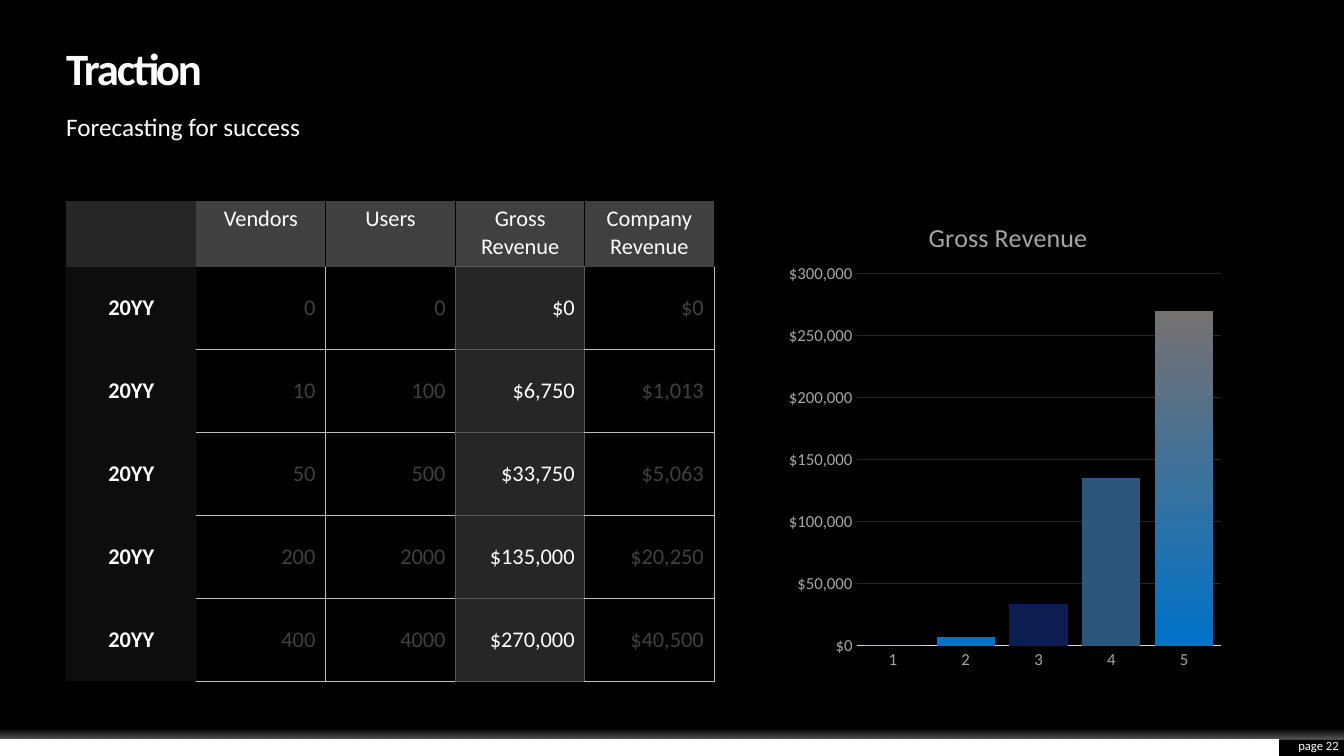
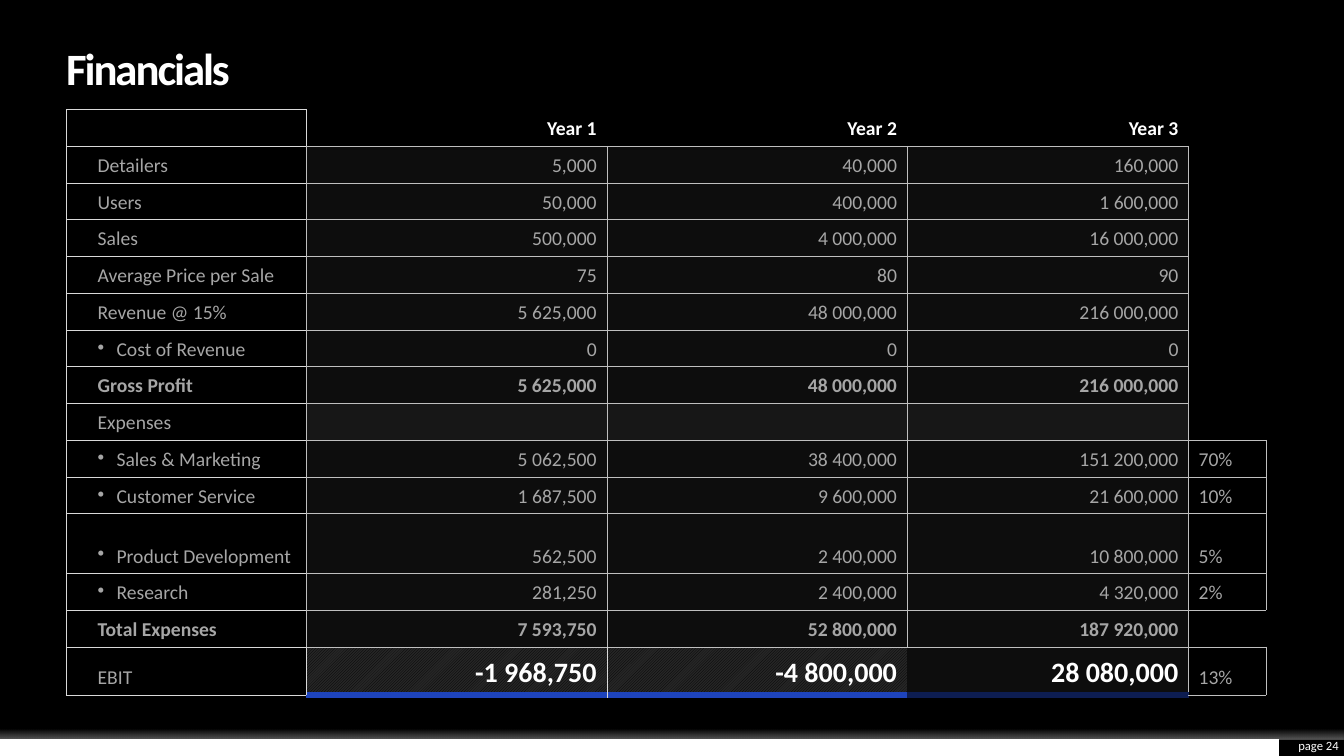
"""Build the traction and financials slides of a pitch deck."""
from dataclasses import dataclass, replace
from typing import NamedTuple, Optional, Sequence

from lxml import etree
from pptx import Presentation
from pptx.chart.data import CategoryChartData
from pptx.dml.color import RGBColor
from pptx.enum.chart import XL_CHART_TYPE, XL_TICK_MARK
from pptx.enum.dml import MSO_PATTERN
from pptx.enum.shapes import MSO_SHAPE
from pptx.enum.text import MSO_ANCHOR, MSO_AUTO_SIZE, PP_ALIGN
from pptx.oxml.ns import qn
from pptx.util import Emu, Pt

LEFT, CENTER, RIGHT = PP_ALIGN.LEFT, PP_ALIGN.CENTER, PP_ALIGN.RIGHT
TOP, MIDDLE, BOTTOM = MSO_ANCHOR.TOP, MSO_ANCHOR.MIDDLE, MSO_ANCHOR.BOTTOM
RECTANGLE, COLUMNS = MSO_SHAPE.RECTANGLE, XL_CHART_TYPE.COLUMN_CLUSTERED
NO_TICK, HATCH = XL_TICK_MARK.NONE, MSO_PATTERN.DARK_UPWARD_DIAGONAL
FONT = "Calibri"
BLACK, WHITE = "000000", "FFFFFF"
INK, COAL, SLATE, STEEL = "0D0D0D", "262626", "404040", "595959"
ASH, SILVER, MIST, WARM_GREY = "A6A6A6", "BFBFBF", "D9D9D9", "767171"
NAVY, BLUE, SKY, TEAL = "0D1D51", "1E44BC", "0072C7", "2C567A"
NO_STYLE = "{2D5ABB26-0587-4C30-8999-92F81FD0307C}"
MARGIN = 63


class Box(NamedTuple):
    left: int
    top: int
    width: int
    height: int


class Line(NamedTuple):
    color: str
    width: float = 0.25


class Edges(NamedTuple):
    left: Optional[Line] = None
    right: Optional[Line] = None
    top: Optional[Line] = None
    bottom: Optional[Line] = None


@dataclass(frozen=True)
class CellStyle:
    size: int
    color: str = WHITE
    bold: bool = False
    align: PP_ALIGN = RIGHT
    anchor: MSO_ANCHOR = MIDDLE
    fill: Optional[str] = None
    opacity: int = 100
    hatched: bool = False
    edges: Edges = Edges()
    indent: Optional[int] = None
    bullet: bool = False


class Forecast(NamedTuple):
    vendors: str
    users: str
    gross: str
    company: str


class Account(NamedTuple):
    label: str
    years: tuple
    share: str = ""
    bullet: bool = False
    bold: bool = False


SILVER_LINE, MIST_LINE = Line(SILVER), Line(MIST)
BLACK_LINE, STEEL_LINE = Line(BLACK), Line(STEEL, 1)
SILVER_BOX = Edges(*[SILVER_LINE] * 4)

FORECAST_HEADS = ("Vendors", "Users", "Gross Revenue", "Company Revenue")
FORECASTS = (
    Forecast("0", "0", "$0", "$0"),
    Forecast("10", "100", "$6,750", "$1,013"),
    Forecast("50", "500", "$33,750", "$5,063"),
    Forecast("200", "2000", "$135,000", "$20,250"),
    Forecast("400", "4000", "$270,000", "$40,500"),
)
REVENUES = (0, 7000, 34000, 135000, 270000)
YEARS = ("Year 1", "Year 2", "Year 3")
ACCOUNTS = (
    Account("Detailers", ("5,000", "40,000", "160,000")),
    Account("Users", ("50,000", "400,000", "1 600,000")),
    Account("Sales", ("500,000", "4 000,000", "16 000,000")),
    Account("Average Price per Sale", ("75", "80", "90")),
    Account("Revenue @ 15%", ("5 625,000", "48 000,000", "216 000,000")),
    Account("Cost of Revenue", ("0", "0", "0"), bullet=True),
    Account("Gross Profit", ("5 625,000", "48 000,000", "216 000,000"), bold=True),
    Account("Expenses", ("", "", "")),
    Account("Sales & Marketing", ("5 062,500", "38 400,000", "151 200,000"), "70%", True),
    Account("Customer Service", ("1 687,500", "9 600,000", "21 600,000"), "10%", True),
    Account("Product Development", ("562,500", "2 400,000", "10 800,000"), "5%", True),
    Account("Research", ("281,250", "2 400,000", "4 320,000"), "2%", True),
    Account("Total Expenses", ("7 593,750", "52 800,000", "187 920,000"), bold=True),
    Account("EBIT", ("-1 968,750", "-4 800,000", "28 080,000"), "13%"),
)


def px(length: int) -> Emu:
    return Emu(length * 9525)


def rgb(color: str) -> RGBColor:
    return RGBColor.from_string(color)


def scaled(box: Box) -> list:
    return [px(length) for length in box]


def set_font(font, size: float, color: str, bold: bool = False) -> None:
    font.name, font.size, font.bold = FONT, Pt(size), bold
    font.color.rgb = rgb(color)


def paint(fill, color: str) -> None:
    fill.solid()
    fill.fore_color.rgb = rgb(color)


def paint_downward(fill, stops: Sequence[tuple]) -> None:
    fill.gradient()
    fill.gradient_angle = 270
    for stop, (position, color) in zip(fill.gradient_stops, stops):
        stop.position = position
        stop.color.rgb = rgb(color)


def set_opacity(element, percents: Sequence[int]) -> None:
    for color, percent in zip(element.iter(qn("a:srgbClr")), percents):
        etree.SubElement(color, qn("a:alpha")).set("val", str(percent * 1000))


def add_text(slide, box: Box, text: str, size: int, align=LEFT, anchor=TOP):
    frame = slide.shapes.add_textbox(*scaled(box)).text_frame
    format_frame(frame, text, size, align, anchor)
    return frame.paragraphs[0]


def format_frame(frame, text: str, size: int, align, anchor, bold: bool = False) -> None:
    frame.text, frame.word_wrap = text, True
    frame.auto_size, frame.vertical_anchor = MSO_AUTO_SIZE.NONE, anchor
    frame.margin_left = frame.margin_right = frame.margin_top = frame.margin_bottom = 0
    frame.paragraphs[0].alignment = align
    set_font(frame.paragraphs[0].font, size, WHITE, bold)


def add_band(slide, box: Box):
    band = slide.shapes.add_shape(RECTANGLE, *scaled(box))
    band.shadow.inherit = False
    band.line.fill.background()
    paint(band.fill, WHITE)
    return band


def add_page(deck, title: str, number: int):
    """Add a slide with the shared title, footer bands and page number."""
    slide = deck.slides.add_slide(deck.slide_layouts[5])
    add_band(slide, Box(0, 704, 1218, 16))
    glow = add_band(slide, Box(0, 687, 1280, 17))
    paint_downward(glow.fill, ((0.4, WHITE), (1, WHITE)))
    set_opacity(glow.fill._xPr, (0, 35))
    heading = slide.shapes.title
    heading.left, heading.top, heading.width, heading.height = scaled(Box(MARGIN, 45, 1047, 45))
    format_frame(heading.text_frame, title, 32, LEFT, MIDDLE, True)
    paragraph = heading.text_frame.paragraphs[0]
    paragraph.line_spacing = 0.9
    paragraph._p.get_or_add_pPr().get_or_add_defRPr().set("spc", "-150")
    add_text(slide, Box(1218, 702, 57, 16), f"page {number}", 9, RIGHT, MIDDLE)
    return slide


def add_grid(slide, left: int, top: int, widths: Sequence[int], heights: Sequence[int]):
    box = Box(left, top, sum(widths), sum(heights))
    table = slide.shapes.add_table(len(heights), len(widths), *scaled(box)).table
    table.first_row = table.horz_banding = False
    table._tbl.tblPr.find(qn("a:tableStyleId")).text = NO_STYLE
    for column, width in zip(table.columns, widths):
        column.width = px(width)
    for row, height in zip(table.rows, heights):
        row.height = px(height)
    return table


def draw_edges(properties, edges: Edges) -> None:
    drawn = [(tag, line) for tag, line in zip(("lnL", "lnR", "lnT", "lnB"), edges) if line]
    for index, (tag, line) in enumerate(drawn):
        border = etree.Element(qn(f"a:{tag}"), w=str(Pt(line.width)))
        solid = etree.SubElement(border, qn("a:solidFill"))
        etree.SubElement(solid, qn("a:srgbClr")).set("val", line.color)
        properties.insert(index, border)


def write_cell(cell, text: str, style: CellStyle) -> None:
    cell.text, cell.vertical_anchor = text, style.anchor
    paragraph = cell.text_frame.paragraphs[0]
    paragraph.alignment = style.align
    set_font(paragraph.font, style.size, style.color, style.bold)
    if style.indent is not None:
        cell.margin_left = px(style.indent)
    if style.bullet:
        properties = paragraph._p.get_or_add_pPr()
        properties.set("marL", str(px(18)))
        properties.set("indent", str(px(-18)))
        mark = etree.Element(qn("a:buChar"))
        mark.set("char", "•")
        properties.insert(0, mark)
    if style.hatched:
        cell.fill.patterned()
        cell.fill.pattern = HATCH
        cell.fill.fore_color.rgb, cell.fill.back_color.rgb = rgb(BLACK), rgb(COAL)
    elif style.fill:
        paint(cell.fill, style.fill)
    else:
        cell.fill.background()
    cell_properties = cell._tc.get_or_add_tcPr()
    if style.opacity < 100:
        set_opacity(cell_properties, (style.opacity,))
    draw_edges(cell_properties, style.edges)


def set_layout(parent, index: int, **fractions: float) -> None:
    for old in parent.findall(qn("c:layout")):
        parent.remove(old)
    layout = etree.Element(qn("c:layout"))
    manual = etree.SubElement(layout, qn("c:manualLayout"))
    if "w" in fractions:
        etree.SubElement(manual, qn("c:layoutTarget")).set("val", "inner")
    for mode in ("xMode", "yMode"):
        etree.SubElement(manual, qn(f"c:{mode}")).set("val", "edge")
    for key, value in fractions.items():
        etree.SubElement(manual, qn(f"c:{key}")).set("val", str(value))
    parent.insert(index, layout)


def add_forecast_table(slide) -> None:
    table = add_grid(slide, MARGIN, 191, (124, 123, 124, 123, 123), (63,) + (79,) * 5)
    head = CellStyle(16, align=CENTER, anchor=TOP, fill=SLATE)
    divider = Line(BLACK, 1)
    write_cell(table.cell(0, 0), "", replace(head, fill=COAL))
    for column, name in enumerate(FORECAST_HEADS, 1):
        edges = Edges(divider if column > 1 else None, divider if column < 4 else None,
                      None, STEEL_LINE if column == 3 else None)
        write_cell(table.cell(0, column), name, replace(head, edges=edges))
    year = CellStyle(16, bold=True, align=CENTER, fill=INK)
    muted = CellStyle(16, SLATE)
    styles = (
        replace(muted, edges=SILVER_BOX._replace(left=None)),
        replace(muted, edges=SILVER_BOX._replace(right=STEEL_LINE)),
        CellStyle(16, fill=COAL, edges=Edges(*[STEEL_LINE] * 4)),
        replace(muted, edges=SILVER_BOX._replace(left=STEEL_LINE)),
    )
    for row, forecast in enumerate(FORECASTS, 1):
        write_cell(table.cell(row, 0), "20YY", year)
        for column, (value, style) in enumerate(zip(forecast, styles), 1):
            if row == 1 and column != 3:
                style = replace(style, edges=style.edges._replace(top=None))
            write_cell(table.cell(row, column), value, style)


def add_revenue_chart(slide) -> None:
    data = CategoryChartData()
    data.categories = [str(year) for year in range(1, 6)]
    data.add_series("Series 1", REVENUES)
    chart = slide.shapes.add_chart(COLUMNS, *scaled(Box(743, 181, 428, 467)), data).chart
    set_font(chart.font, 10, ASH)
    chart.has_legend = False
    title = chart.chart_title
    title.text_frame.text = "Gross Revenue"
    set_font(title.text_frame.paragraphs[0].font, 18.6, ASH)
    set_layout(title._element, 1, x=0.32, y=0.05)
    plot = chart.plots[0]
    plot.gap_width, plot.vary_by_categories = 25, False
    set_layout(plot._element.getparent(), 0, x=0.17, y=0.17, w=0.81, h=0.76)
    bars = plot.series[0]
    paint(bars.format.fill, NAVY)
    for index, color in ((1, SKY), (3, TEAL)):
        paint(bars.points[index].format.fill, color)
    paint_downward(bars.points[4].format.fill, ((0, WARM_GREY), (1, SKY)))
    years, dollars = chart.category_axis, chart.value_axis
    for axis in (years, dollars):
        axis.major_tick_mark = axis.minor_tick_mark = NO_TICK
        set_font(axis.tick_labels.font, 12, ASH)
    years.format.line.color.rgb, years.format.line.width = rgb(MIST), Pt(0.75)
    dollars.format.line.fill.background()
    dollars.minimum_scale, dollars.maximum_scale, dollars.major_unit = 0, 300000, 50000
    dollars.tick_labels.number_format = "[$$-409]#,##0"
    dollars.tick_labels.number_format_is_linked = False
    gridline = dollars.major_gridlines.format.line
    gridline.color.rgb, gridline.width = rgb(COAL), Pt(0.75)


def add_accounts_table(slide) -> None:
    heights = (35,) * 11 + (57, 35, 35, 46)
    table = add_grid(slide, MARGIN, 104, (229, 286, 286, 268, 74), heights)
    base = CellStyle(14, ASH, anchor=BOTTOM)
    frame = Edges(*[MIST_LINE] * 4)
    write_cell(table.cell(0, 0), "", replace(base, fill=BLACK, edges=frame))
    write_cell(table.cell(0, 4), "", replace(base, edges=Edges(BLACK_LINE)))
    for column, year in enumerate(YEARS, 1):
        edges = Edges(MIST_LINE if column == 1 else BLACK_LINE, BLACK_LINE, BLACK_LINE, SILVER_LINE)
        write_cell(table.cell(0, column), year,
                   replace(base, color=WHITE, bold=True, fill=BLACK, edges=edges))
    figure = replace(base, fill=INK, edges=SILVER_BOX)
    result = replace(base, size=20, color=WHITE, bold=True, fill=INK)
    results = (
        replace(result, hatched=True, edges=Edges(MIST_LINE, None, SILVER_LINE, Line(BLUE, 4.5))),
        replace(result, hatched=True, edges=Edges(None, None, SILVER_LINE, Line(BLUE, 4.5))),
        replace(result, edges=Edges(None, SILVER_LINE, SILVER_LINE, Line(NAVY, 4.5))),
    )
    last = len(ACCOUNTS)
    shares = [""] + [account.share for account in ACCOUNTS] + [""]
    for row, account in enumerate(ACCOUNTS, 1):
        label_edges = frame if row == last else frame._replace(right=SILVER_LINE)
        write_cell(table.cell(row, 0), account.label,
                   replace(base, align=LEFT, bold=account.bold, fill=BLACK, indent=30,
                           bullet=account.bullet, edges=label_edges))
        for column, value in enumerate(account.years, 1):
            style = results[column - 1] if row == last else replace(figure, bold=account.bold)
            if not value:
                style = replace(style, fill=SLATE, opacity=36)
            write_cell(table.cell(row, column), value, style)
        share_edges = SILVER_BOX if account.share else Edges(
            SILVER_LINE, None, SILVER_LINE if shares[row - 1] else None,
            SILVER_LINE if shares[row + 1] else None)
        write_cell(table.cell(row, 4), account.share,
                   replace(base, align=LEFT, edges=share_edges))


def main() -> None:
    deck = Presentation()
    deck.slide_width, deck.slide_height = px(1280), px(720)
    paint(deck.slide_master.background.fill, BLACK)
    traction = add_page(deck, "Traction", 22)
    subtitle = add_text(traction, Box(MARGIN, 106, 1047, 27), "Forecasting for success", 18)
    subtitle.space_before = Pt(10)
    add_forecast_table(traction)
    add_revenue_chart(traction)
    add_accounts_table(add_page(deck, "Financials", 24))
    deck.save("out.pptx")


if __name__ == "__main__":
    main()
